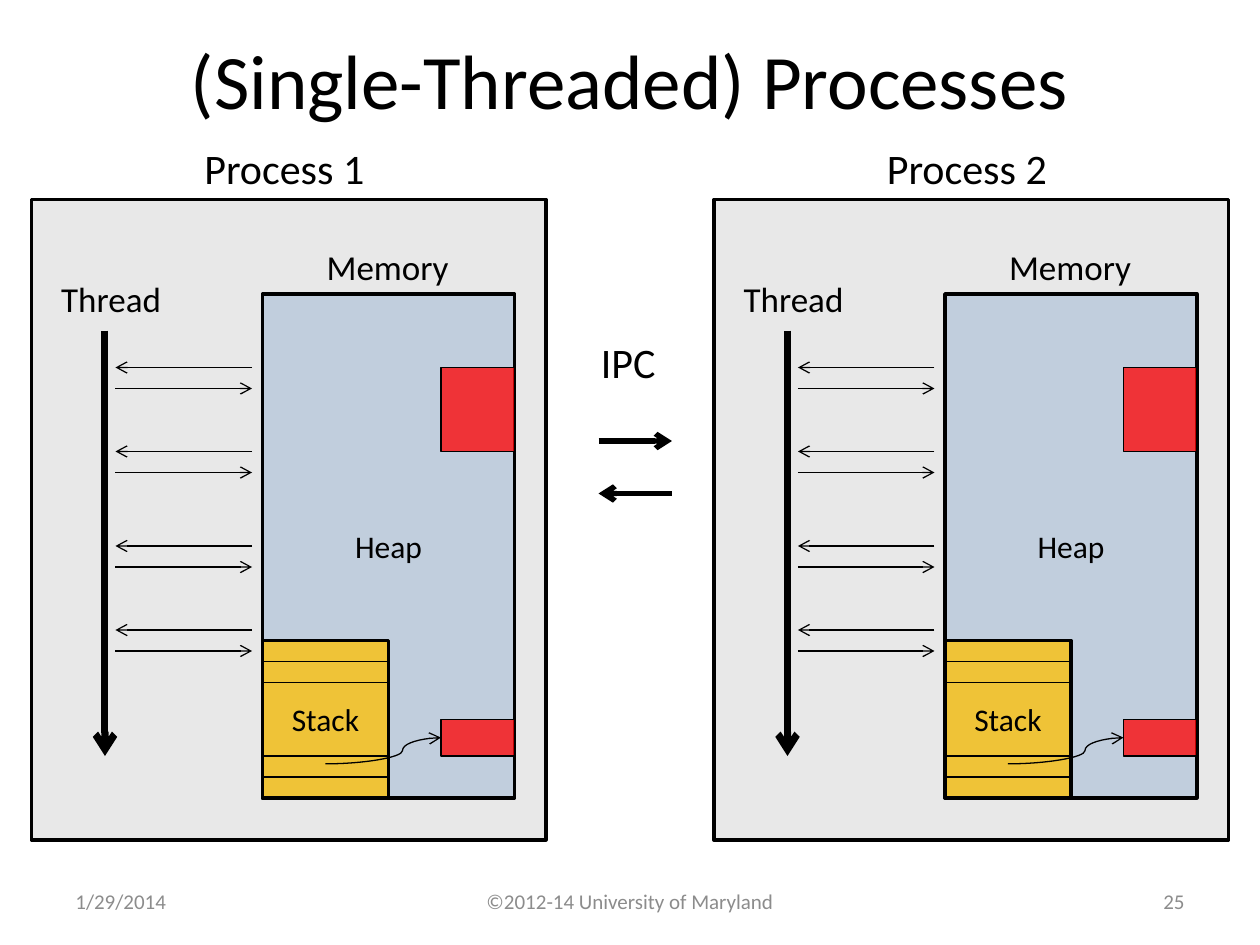
from dataclasses import dataclass

from lxml import etree
from pptx import Presentation
from pptx.dml.color import RGBColor
from pptx.enum.shapes import MSO_CONNECTOR, MSO_SHAPE
from pptx.enum.text import MSO_ANCHOR, PP_ALIGN
from pptx.oxml.ns import qn
from pptx.util import Pt


@dataclass(frozen=True)
class Theme:
    font: str = "Calibri"
    ink: str = "000000"
    muted: str = "8C8C8C"
    process: str = "A6A6A6"
    heap: str = "4F81BD"
    stack: str = "FFC000"
    heap_object: str = "FF0000"
    title_size: int = 44
    heading_size: int = 24
    label_size: int = 20
    region_size: int = 18
    footer_size: int = 12
    thin: float = 0.75
    outline: float = 2
    ipc: float = 3
    thread: float = 4


@dataclass(frozen=True)
class Box:
    x: float
    y: float
    w: float
    h: float


@dataclass(frozen=True)
class Region:
    box: Box
    color: str
    opacity: int
    line: float
    text: str = ""


@dataclass(frozen=True)
class Label:
    box: Box
    text: str
    size: int
    color: str = "000000"
    align: PP_ALIGN = PP_ALIGN.CENTER
    anchor: MSO_ANCHOR = MSO_ANCHOR.TOP
    wrap: bool = False


@dataclass(frozen=True)
class Stroke:
    x1: float
    y1: float
    x2: float
    y2: float
    width: float
    arrow: bool = True
    bend: int = 0


THEME = Theme()
prs = Presentation()
prs.slide_width, prs.slide_height = Pt(720), Pt(540)
slide = prs.slides.add_slide(prs.slide_layouts[6])


def write(frame, text: str, size: int, color: str, align: PP_ALIGN) -> None:
    paragraph = frame.paragraphs[0]
    paragraph.alignment = align
    run = paragraph.add_run()
    run.text = text
    run.font.name = THEME.font
    run.font.size = Pt(size)
    run.font.color.rgb = RGBColor.from_string(color)


def draw_label(label: Label) -> None:
    b = label.box
    frame = slide.shapes.add_textbox(Pt(b.x), Pt(b.y), Pt(b.w), Pt(b.h)).text_frame
    frame.word_wrap = label.wrap
    frame.vertical_anchor = label.anchor
    write(frame, label.text, label.size, label.color, label.align)


def draw_region(region: Region) -> None:
    b = region.box
    shape = slide.shapes.add_shape(MSO_SHAPE.RECTANGLE, Pt(b.x), Pt(b.y), Pt(b.w), Pt(b.h))
    shape.shadow.inherit = False
    shape.fill.solid()
    shape.fill.fore_color.rgb = RGBColor.from_string(region.color)
    color = shape.fill._xPr.find(qn("a:solidFill"))[0]
    etree.SubElement(color, qn("a:alpha"), val=str(region.opacity * 1000))
    shape.line.color.rgb = RGBColor.from_string(THEME.ink)
    shape.line.width = Pt(region.line)
    if region.text:
        shape.text_frame.vertical_anchor = MSO_ANCHOR.MIDDLE
        write(shape.text_frame, region.text, THEME.region_size, THEME.ink, PP_ALIGN.CENTER)


def draw_stroke(stroke: Stroke) -> None:
    kind = MSO_CONNECTOR.CURVE if stroke.bend else MSO_CONNECTOR.STRAIGHT
    line = slide.shapes.add_connector(
        kind, Pt(stroke.x1), Pt(stroke.y1), Pt(stroke.x2), Pt(stroke.y2))
    line.line.color.rgb = RGBColor.from_string(THEME.ink)
    line.line.width = Pt(stroke.width)
    properties = line._element.spPr
    if stroke.arrow:
        etree.SubElement(properties.find(qn("a:ln")), qn("a:tailEnd"), type="arrow")
    etree.SubElement(properties, qn("a:effectLst"))
    if stroke.bend:
        adjustments = properties.find(qn("a:prstGeom")).find(qn("a:avLst"))
        etree.SubElement(adjustments, qn("a:gd"), name="adj1", fmla=f"val {stroke.bend}")


def draw_process(left: float, name: str) -> None:
    memory = left + 132
    memory_right = memory + 144
    objects = memory_right - 42
    draw_region(Region(Box(left, 114, 294, 366), THEME.process, 25, THEME.outline))
    draw_region(Region(Box(memory, 168, 144, 288), THEME.heap, 25, THEME.outline, "Heap"))
    draw_region(Region(Box(memory, 366, 72, 90), THEME.stack, 75, THEME.outline, "Stack"))
    for y in (378, 390, 432, 444):
        draw_stroke(Stroke(memory, y, memory + 72, y, THEME.thin, arrow=False))
    draw_stroke(Stroke(left + 42, 189, left + 42, 432, THEME.thread))
    for y in (210, 258, 312, 360):
        draw_stroke(Stroke(left + 126, y, left + 48, y, THEME.thin))
        draw_stroke(Stroke(left + 48, y + 12, left + 126, y + 12, THEME.thin))
    for y, height in ((411, 21), (210, 48)):
        draw_region(Region(Box(objects, y, 42, height), THEME.heap_object, 75, THEME.thin))
    draw_stroke(Stroke(memory + 36, 436.5, objects, 421.5, THEME.thin, bend=66700))
    draw_label(Label(Box(left + 161, 137, 85, 31.5), "Memory", THEME.label_size))
    draw_label(Label(Box(left + 9.5, 155, 72, 31.5), "Thread", THEME.label_size))
    draw_label(Label(Box(left + 91, 78, 107, 36), name, THEME.heading_size))


def footer(left: float, width: float, text: str, align: PP_ALIGN) -> Label:
    return Label(Box(left, 500.5, width, 28.75), text, THEME.footer_size, THEME.muted,
                 align, MSO_ANCHOR.MIDDLE, True)


draw_label(Label(Box(36, 0, 648, 90), "(Single-Threaded) Processes", THEME.title_size,
                 anchor=MSO_ANCHOR.MIDDLE, wrap=True))
for process_left, process_name in ((408, "Process 2"), (18, "Process 1")):
    draw_process(process_left, process_name)

draw_stroke(Stroke(342, 252, 384, 252, THEME.ipc))
draw_stroke(Stroke(384, 282, 342, 282, THEME.ipc))
draw_label(Label(Box(336, 189, 46, 36), "IPC", THEME.heading_size))

for footer_label in (
    footer(36, 168, "1/29/2014", PP_ALIGN.LEFT),
    footer(246, 228, "©2012-14 University of Maryland", PP_ALIGN.CENTER),
    footer(516, 168, "25", PP_ALIGN.RIGHT),
):
    draw_label(footer_label)

prs.save("out.pptx")
